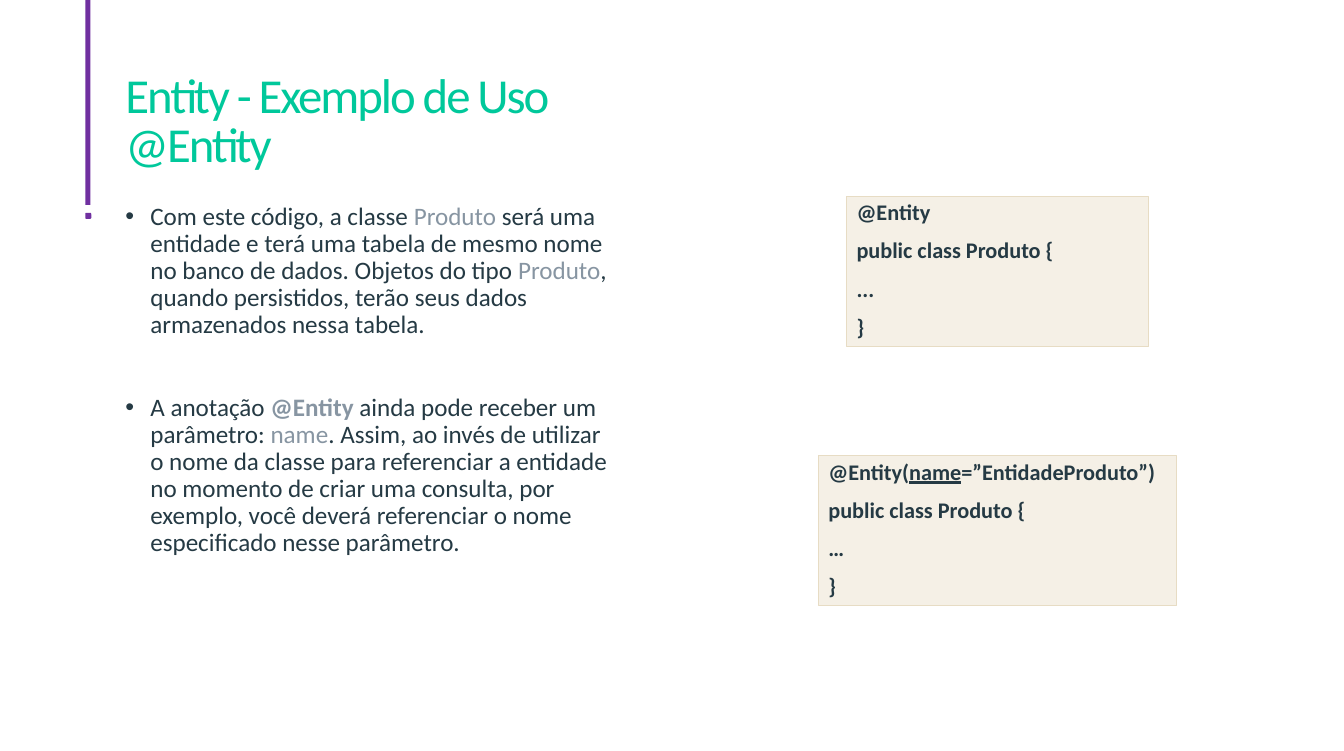
from lxml import etree
from pptx import Presentation
from pptx import util as u
from pptx.dml.color import RGBColor
from pptx.enum import shapes, text
from pptx.oxml.ns import qn

TITLE, INK, MUTED = "00C89B", "253A44", "8795A2"
PURPLE, SAND, SAND_EDGE = "7030A0", "F5F0E6", "E7DCC4"


def colour(value):
    return RGBColor.from_string(value)


class SlideBuilder:
    font = "Calibri"
    line_spacing = 0.9
    space_before = 10
    bullet_indent = 0.25

    def __init__(self, deck):
        self.page = deck.slides.add_slide(deck.slide_layouts[5])

    def span(self, para, words, size, hue=INK, bold=False, underline=False):
        span = para.add_run()
        span.text = words
        span.font.name = self.font
        span.font.size = u.Pt(size)
        span.font.bold = bold
        span.font.underline = underline
        span.font.color.rgb = colour(hue)
        return span

    def paragraph(self, frame, index, spans, size, before):
        para = frame.paragraphs[0] if index == 0 else frame.add_paragraph()
        para.alignment = text.PP_ALIGN.LEFT
        para.line_spacing = self.line_spacing
        para.space_before = u.Pt(before)
        for words, style in spans:
            self.span(para, words, size, **style)
        return para

    def title(self, words, left, top, width, height):
        box = self.page.shapes.title
        box.left, box.top = u.Inches(left), u.Inches(top)
        box.width, box.height = u.Inches(width), u.Inches(height)
        frame = box.text_frame
        frame.word_wrap = True
        frame.auto_size = text.MSO_AUTO_SIZE.NONE
        frame.vertical_anchor = text.MSO_ANCHOR.MIDDLE
        para = frame.paragraphs[0]
        para.alignment = text.PP_ALIGN.LEFT
        para.line_spacing = u.Pt(35)
        span = self.span(para, words, 35, TITLE)
        span.font._element.set("spc", "-150")

    def shape(self, kind, left, top, width, height, fill, edge=None):
        box = self.page.shapes.add_shape(
            kind, u.Inches(left), u.Inches(top), u.Inches(width), u.Inches(height))
        box.shadow.inherit = False
        box.fill.solid()
        box.fill.fore_color.rgb = colour(fill)
        if edge:
            box.line.color.rgb = colour(edge)
            box.line.width = u.Pt(0.75)
        else:
            box.line.fill.background()
        return box

    def bullets(self, items, gap, left, top, width, height):
        box = self.page.shapes.add_textbox(
            u.Inches(left), u.Inches(top), u.Inches(width), u.Inches(height))
        frame = box.text_frame
        frame.word_wrap = True
        for index, spans in enumerate(items):
            before = gap if index else self.space_before
            para = self.paragraph(frame, index, spans, 18, before)
            props = para._p.get_or_add_pPr()
            indent = u.Inches(self.bullet_indent)
            props.set("marL", str(indent))
            props.set("indent", str(-indent))
            etree.SubElement(props, qn("a:buFont")).set("typeface", "Arial")
            etree.SubElement(props, qn("a:buChar")).set("char", "•")

    def code(self, lines, center, top, width, height):
        box = self.shape(shapes.MSO_SHAPE.RECTANGLE, center - width / 2, top,
                         width, height, SAND, SAND_EDGE)
        frame = box.text_frame
        frame.word_wrap = True
        frame.vertical_anchor = text.MSO_ANCHOR.TOP
        for index, spans in enumerate(lines):
            self.paragraph(frame, index, spans, 16, self.space_before)


def main():
    deck = Presentation()
    deck.slide_width, deck.slide_height = u.Inches(13.39), u.Inches(7.48)
    slide = SlideBuilder(deck)
    plain, muted = {}, {"hue": MUTED}
    strong, linked = {"bold": True}, {"bold": True, "underline": True}

    slide.shape(shapes.MSO_SHAPE.RECTANGLE, 0.85, 0, 0.05, 2.04, PURPLE)
    slide.shape(shapes.MSO_SHAPE.ROUNDED_RECTANGLE, 0.85, 2.12, 0.06, 0.06, PURPLE)
    slide.title("Entity - Exemplo de Uso @Entity", 1.15, 0.65, 4.63, 1.15)

    slide.bullets([
        [("Com este código, a classe ", plain),
         ("Produto", muted),
         (" será uma entidade e terá uma tabela de mesmo nome no banco de dados. "
          "Objetos do tipo ", plain),
         ("Produto", muted),
         (", quando persistidos, terão seus dados armazenados nessa tabela.", plain)],
        [("A anotação ", plain),
         ("@Entity", {**muted, **strong}),
         (" ainda pode receber um parâmetro: ", plain),
         ("name", muted),
         (". Assim, ao invés de utilizar o nome da classe para referenciar a entidade "
          "no momento de criar uma consulta, por exemplo, você deverá referenciar o "
          "nome especificado nesse parâmetro.", plain)],
    ], 39.5, 1.15, 1.98, 5.06, 4.58)

    samples = [
        (1.96, 3.01, [("@Entity", strong)], "..."),
        (4.54, 3.57, [("@Entity(", strong), ("name", linked),
                      ("=”EntidadeProduto”)", strong)], "…"),
    ]
    for top, width, annotation, dots in samples:
        rest = [[(line, strong)] for line in ("public class Produto {", dots, "}")]
        slide.code([annotation] + rest, 9.94, top, width, 1.49)

    deck.save("out.pptx")


if __name__ == "__main__":
    main()
